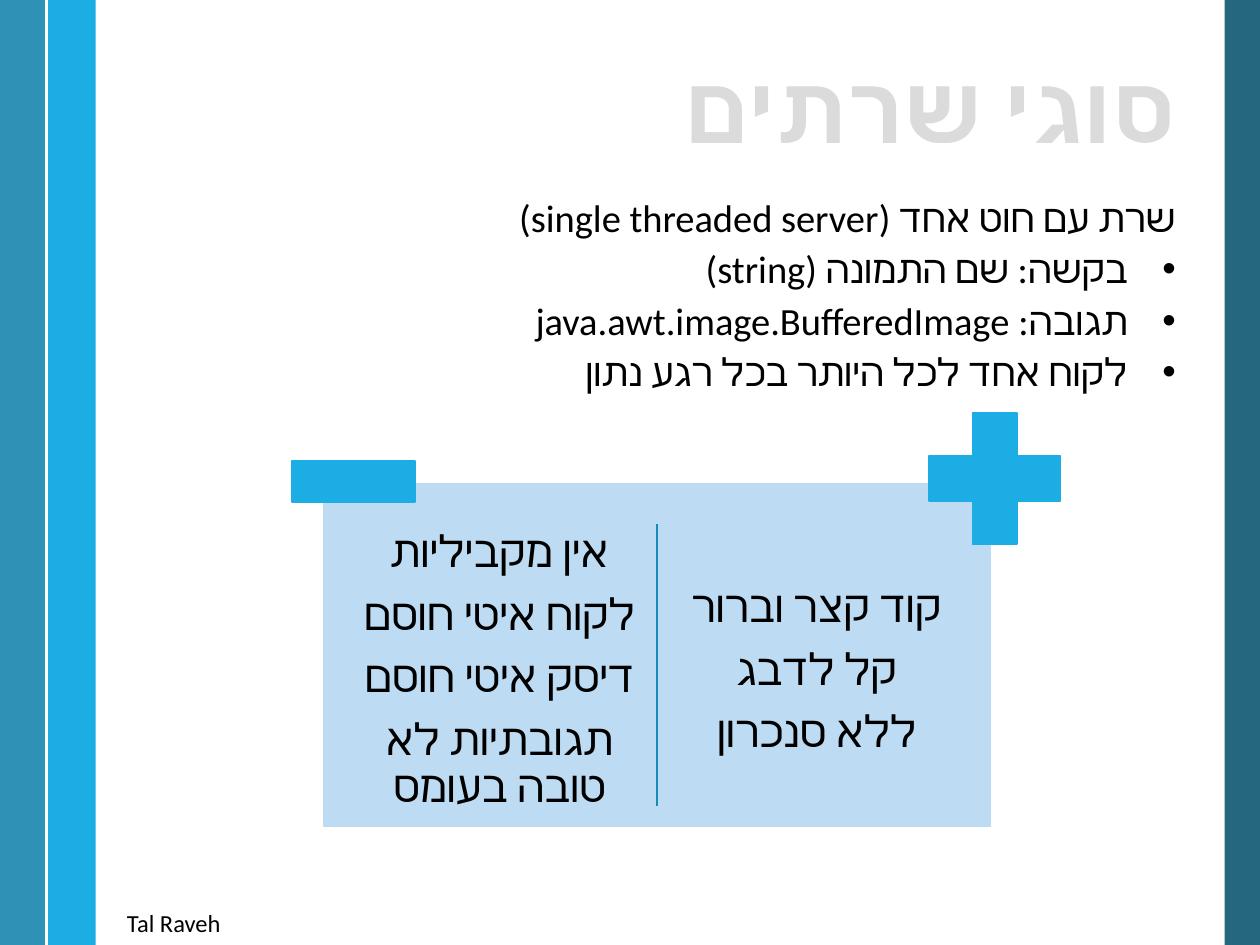
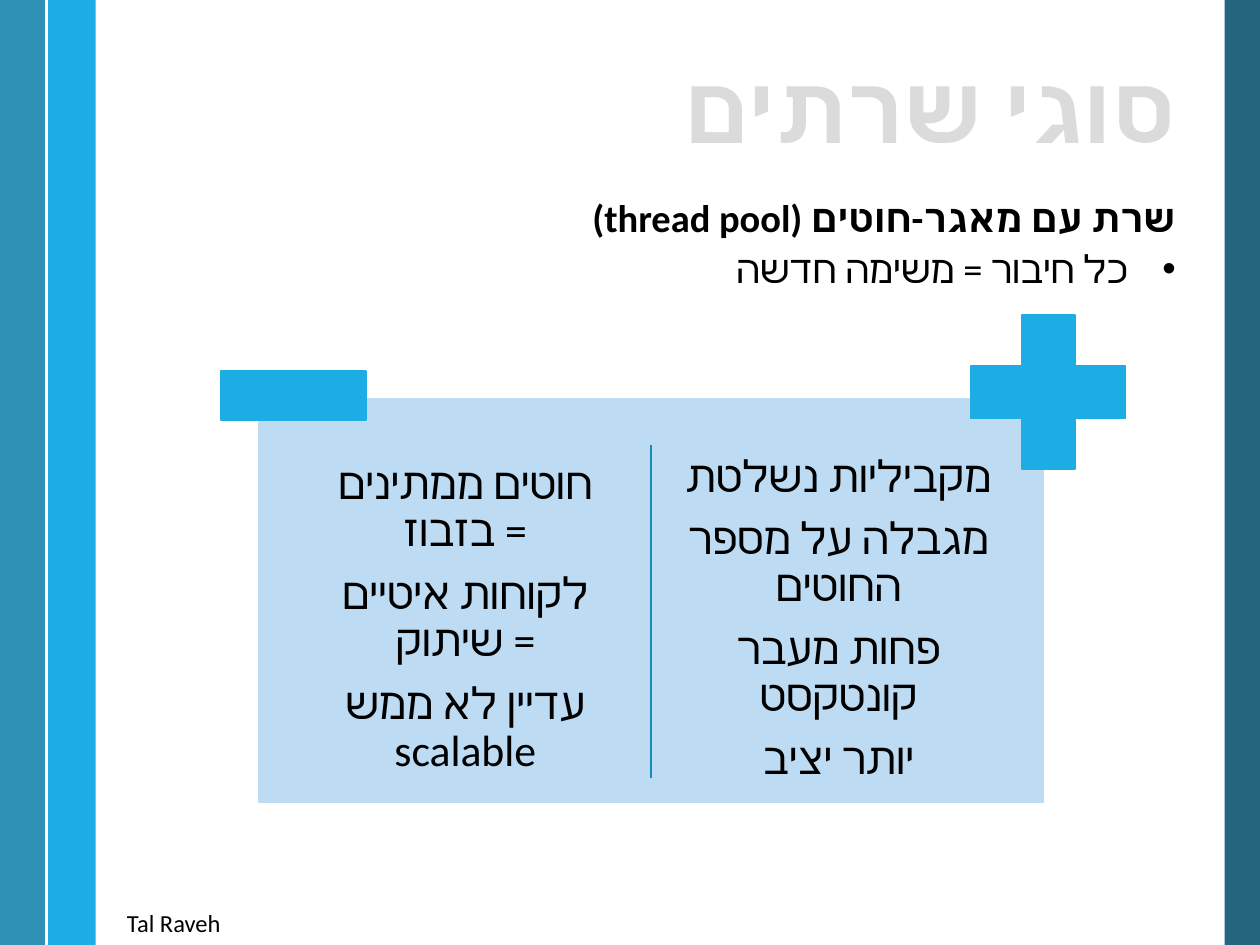
"""Build two slides that weigh the pros and cons of server types."""
from dataclasses import dataclass
from typing import Any

import pptx
import pptx.dml.color
import pptx.enum.shapes
import pptx.enum.text
import pptx.oxml.ns
import pptx.util
from lxml import etree

RGB = pptx.dml.color.RGBColor
Inches, Pt = pptx.util.Inches, pptx.util.Pt
Shape = pptx.enum.shapes.MSO_SHAPE
Align = pptx.enum.text.PP_ALIGN
Anchor = pptx.enum.text.MSO_ANCHOR
Fit = pptx.enum.text.MSO_AUTO_SIZE
qn = pptx.oxml.ns.qn

SKY = RGB(0x1C, 0xAD, 0xE4)
TEAL = RGB(0x14, 0x82, 0xAC)
DEEP = RGB(0x0E, 0x57, 0x72)
PALE = RGB(0xBD, 0xDB, 0xF2)
RULE = RGB(0x16, 0x8B, 0xB7)
GREY = RGB(0xDB, 0xDB, 0xDB)
WHITE = RGB(0xFF, 0xFF, 0xFF)
BLACK = RGB(0, 0, 0)
FACE = "Calibri"
INDENT = Inches(0.38)
TITLE = "סוגי שרתים"
AUTHOR = "Tal Raveh"


@dataclass(frozen=True)
class Box:
    """Area in inches."""
    x: float
    y: float
    w: float
    h: float

    def share(self, x: float, y: float, w: float, h: float) -> "Box":
        """Return the area given as percent shares of this one."""
        return Box(self.x + self.w * x / 100, self.y + self.h * y / 100,
                   self.w * w / 100, self.h * h / 100)

    def span(self) -> tuple:
        """Return left, top, width and height as lengths."""
        return tuple(Inches(v) for v in (self.x, self.y, self.w, self.h))


@dataclass(frozen=True)
class Band:
    """Upright band of the shared frame."""
    x: float
    w: float
    fill: RGB
    alpha: int


@dataclass(frozen=True)
class Style:
    """Look of the text in one box."""
    size: float
    align: Any
    color: RGB = BLACK
    bold: bool = False
    rtl: bool = True
    line: float = 1.0
    before: float = 0
    after: float = 0


@dataclass(frozen=True)
class Topic:
    """Content of one slide."""
    head: str
    bold: bool
    points: list[str]
    card: Box
    pros: list[str]
    cons: list[str]


PAGE = Box(0, 0, 10, 7.5)
BANDS = [Band(97.2, 2.8, DEEP, 90), Band(3.7, 3.9, SKY, 100),
         Band(0, 3.8, TEAL, 88)]
HEAD = Style(54, Align.RIGHT, GREY, True, line=0.9)
BODY = Style(22, Align.RIGHT, before=3)
CELL = Style(25, Align.CENTER, line=0.9, after=8.75)
FOOT = Style(14, Align.RIGHT, rtl=False)
TOPICS = [
    Topic("שרת עם חוט אחד (single threaded server)", False,
          ["בקשה: שם התמונה (string)",
           "תגובה: java.awt.image.BufferedImage",
           "לקוח אחד לכל היותר בכל רגע נתון"],
          Box(2.56, 3.83, 5.31, 2.74),
          ["קוד קצר וברור", "קל לדבג", "ללא סנכרון"],
          ["אין מקביליות", "לקוח איטי חוסם", "דיסק איטי חוסם",
           "תגובתיות לא טובה בעומס"]),
    Topic("שרת עם מאגר-חוטים (thread pool)", True,
          ["כל חיבור = משימה חדשה"],
          Box(2.04, 3.15, 6.25, 3.23),
          ["מקביליות נשלטת", "מגבלה על מספר החוטים",
           "פחות מעבר קונטקסט", "יותר יציב"],
          ["חוטים ממתינים\n= בזבוז", "לקוחות איטיים\n= שיתוק",
           "עדיין לא ממש scalable"]),
]


def apply(item: Any, values: dict[str, Any]) -> None:
    """Set each named attribute of the item."""
    for name, value in values.items():
        setattr(item, name, value)


def paint(slide: Any, kind: Any, box: Box, fill: RGB,
          edge: RGB | None = None, alpha: int = 100) -> Any:
    """Draw a filled shape."""
    shape = slide.shapes.add_shape(kind, *box.span())
    shape.shadow.inherit = False
    shape.fill.solid()
    shape.fill.fore_color.rgb = fill
    if edge is None:
        shape.line.fill.background()
    else:
        shape.line.color.rgb = edge
        shape.line.width = Pt(1)
    if alpha < 100:
        tint = shape._element.spPr.find(f".//{qn('a:srgbClr')}")
        etree.SubElement(tint, qn("a:alpha"), val=str(alpha * 1000))
    return shape


def rule(slide: Any, box: Box, color: RGB, width: float) -> None:
    """Draw an upright line down the left side of a box."""
    x, top, _, high = box.span()
    line = slide.shapes.add_connector(
        pptx.enum.shapes.MSO_CONNECTOR.STRAIGHT, x, top, x, top + high)
    line.line.color.rgb = color
    line.line.width = Pt(width)
    etree.SubElement(line._element.spPr, qn("a:effectLst"))


def write(frame: Any, lines: list[str], style: Style,
          pad: tuple[float, float], anchor: Any = Anchor.TOP,
          wrap: bool = True, fit: Any = Fit.NONE) -> None:
    """Fill a text frame with styled paragraphs."""
    side, edge = (Inches(v) for v in pad)
    apply(frame, {"word_wrap": wrap, "auto_size": fit,
                  "vertical_anchor": anchor,
                  "margin_left": side, "margin_right": side,
                  "margin_top": edge, "margin_bottom": edge})
    for i, text in enumerate(lines):
        para = frame.add_paragraph() if i else frame.paragraphs[0]
        para.text = text
        apply(para, {"alignment": style.align, "line_spacing": style.line,
                     "space_before": Pt(style.before if i else 0),
                     "space_after": Pt(style.after)})
        para._p.get_or_add_pPr().set("rtl", str(int(style.rtl)))
        for run in para.runs:
            apply(run.font, {"name": FACE, "size": Pt(style.size),
                             "bold": style.bold})
            run.font.color.rgb = style.color
            etree.SubElement(run._r.get_or_add_rPr(), qn("a:cs"),
                             typeface=FACE)


def place(slide: Any, box: Box) -> Any:
    """Add an empty text box and return its frame."""
    return slide.shapes.add_textbox(*box.span()).text_frame


def base(slide: Any) -> None:
    """Draw the bands, the footer and the title that slides share."""
    for band in BANDS:
        paint(slide, Shape.RECTANGLE, PAGE.share(band.x, 0, band.w, 100),
              band.fill, alpha=band.alpha)
    rule(slide, PAGE.share(3.7, 0, 0, 100), WHITE, 1.5)
    write(place(slide, PAGE.share(8.8, 95.47, 9.7, 4.53)), [AUTHOR], FOOT,
          (0.1, 0.05), fit=Fit.SHAPE_TO_FIT_TEXT)
    title = slide.shapes.title
    spot = PAGE.share(9.6, 6.67, 84.7, 10.53).span()
    apply(title, dict(zip(("left", "top", "width", "height"), spot)))
    write(title.text_frame, [TITLE], HEAD, (0.1, 0), Anchor.MIDDLE, False)


def brief(slide: Any, topic: Topic) -> None:
    """Write the topic line and its bullet points."""
    frame = place(slide, PAGE.share(9.6, 19.87, 84.7, 74.27))
    write(frame, [topic.head, *topic.points], BODY, (0.1, 0.05))
    frame.paragraphs[0].runs[0].font.bold = topic.bold
    for para in frame.paragraphs[1:]:
        props = para._p.get_or_add_pPr()
        props.set("marL", str(INDENT))
        props.set("indent", str(-INDENT))
        etree.SubElement(props, qn("a:buFont"), typeface="Arial")
        etree.SubElement(props, qn("a:buChar"), char="•")


def weigh(slide: Any, topic: Topic) -> None:
    """Draw the card of pros and cons with its plus and minus signs."""
    card = topic.card
    paint(slide, Shape.RECTANGLE, card, PALE, WHITE)
    for x, lines in ((50.6, topic.pros), (3.2, topic.cons)):
        write(place(slide, card.share(x, 11.7, 46.5, 85.7)), lines, CELL,
              (0.05, 0.05), Anchor.MIDDLE)
    plus = paint(slide, Shape.CROSS, card.share(90.7, -20.1, 19.6, 37.9),
                 SKY, SKY)
    plus.adjustments[0] = 0.33
    paint(slide, Shape.RECTANGLE, card.share(-4.6, -6.3, 18.4, 12), SKY, SKY)
    rule(slide, card.share(50, 11.9, 0, 81.8), RULE, 1)


def main() -> None:
    """Build and save the deck."""
    deck = pptx.Presentation()
    apply(deck, {"slide_width": Inches(PAGE.w),
                 "slide_height": Inches(PAGE.h)})
    for topic in TOPICS:
        slide = deck.slides.add_slide(deck.slide_layouts[5])
        base(slide)
        brief(slide, topic)
        weigh(slide, topic)
    deck.save("out.pptx")


if __name__ == "__main__":
    main()
